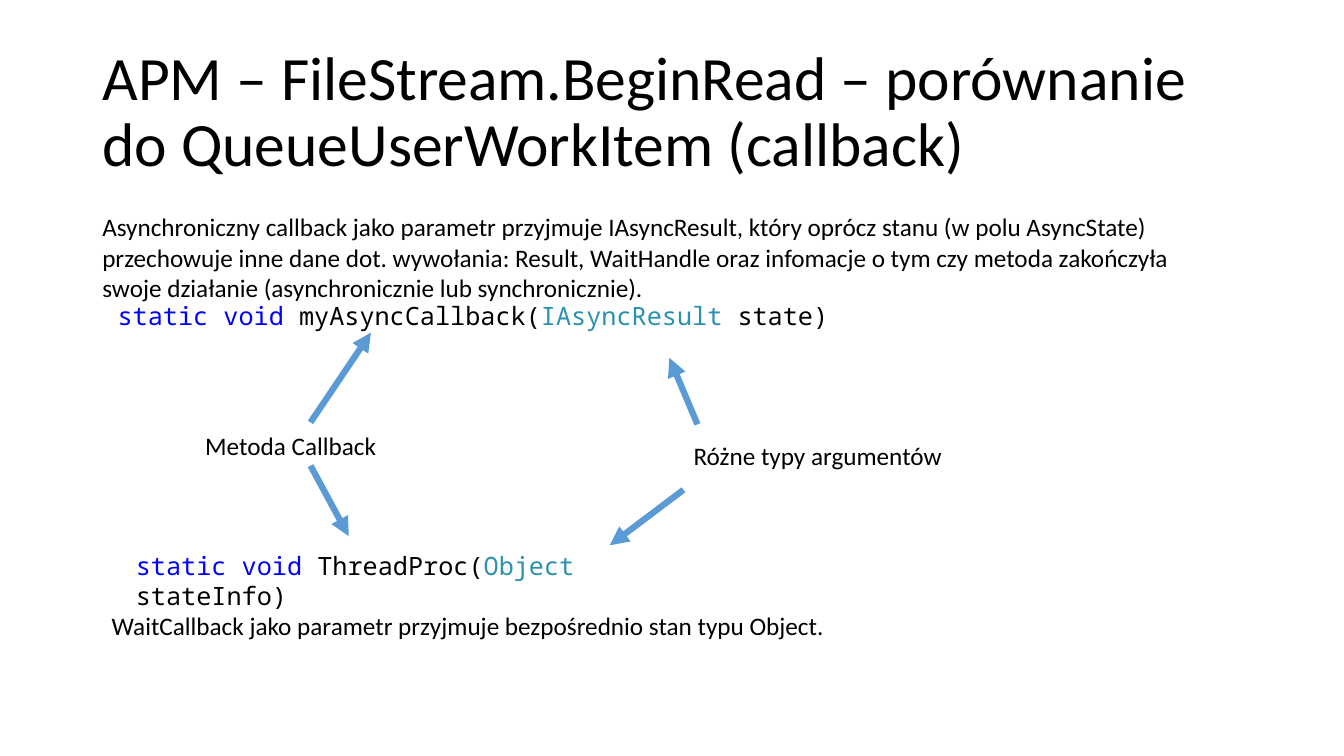
from dataclasses import dataclass

from lxml.etree import SubElement
from pptx import Presentation
from pptx.dml.color import RGBColor
from pptx.enum.shapes import MSO_CONNECTOR as Connector
from pptx.enum.text import MSO_ANCHOR as Anchor, MSO_AUTO_SIZE as AutoSize, PP_ALIGN as Align
from pptx.oxml.ns import qn
from pptx.slide import Slide
from pptx.text.text import TextFrame
from pptx.util import Pt

BLACK = RGBColor(0x00, 0x00, 0x00)
KEYWORD_BLUE = RGBColor(0x00, 0x00, 0xFF)
TYPE_TEAL = RGBColor(0x2B, 0x91, 0xAF)
ARROW_BLUE = RGBColor(0x5B, 0x9B, 0xD5)
TEXT_FONT = "Calibri"
CODE_FONT = "Noto Sans Mono"


@dataclass(frozen=True)
class Token:
    text: str
    color: RGBColor = BLACK


@dataclass(frozen=True)
class Box:
    left: float
    top: float
    width: float
    height: float


@dataclass(frozen=True)
class Label:
    box: Box
    tokens: list[Token]
    font: str = TEXT_FONT
    wrap: bool = False


@dataclass(frozen=True)
class Arrow:
    start: tuple[float, float]
    end: tuple[float, float]


STATIC_VOID = [Token("static", KEYWORD_BLUE), Token(" "), Token("void", KEYWORD_BLUE)]
CALLBACK_CODE = [Token(" "), *STATIC_VOID, Token(" myAsyncCallback("),
                 Token("IAsyncResult", TYPE_TEAL), Token(" state)")]
THREAD_CODE = [*STATIC_VOID, Token(" ThreadProc("),
               Token("Object", TYPE_TEAL), Token(" stateInfo)")]
TITLE = [Token("APM – FileStream.BeginRead – porównanie do QueueUserWorkItem (callback)")]
EXPLANATION = [Token(
    "Asynchroniczny callback jako parametr przyjmuje IAsyncResult, który oprócz stanu "
    "(w polu AsyncState) przechowuje inne dane dot. wywołania: Result, WaitHandle oraz "
    "infomacje o tym czy metoda zakończyła swoje działanie (asynchronicznie lub "
    "synchronicznie).")]
WAIT_CALLBACK = [Token("WaitCallback jako parametr przyjmuje bezpośrednio stan typu Object.")]

TITLE_BOX = Box(66, 28.75, 828, 104.4)
BODY_BOX = Box(66, 213.1, 844.5, 72.7)
LABELS = [
    Label(Box(139.5, 303.8, 138.2, 29.1), [Token("Metoda Callback")]),
    Label(Box(488.3, 311, 193.7, 29.1), [Token("Różne typy argumentów")]),
    Label(Box(66, 147.6, 797, 72.7), EXPLANATION, wrap=True),
    Label(Box(72.7, 432.7, 528.5, 29.1), WAIT_CALLBACK),
    Label(Box(90, 389.5, 413.3, 29.1), THREAD_CODE, font=CODE_FONT, wrap=True),
]
ARROWS = [
    Arrow((498.2, 303.1), (478.1, 255.6)),
    Arrow((221.8, 332.6), (249.1, 383)),
    Arrow((221.8, 301.7), (265, 237.6)),
    Arrow((488.2, 349.9), (435.6, 389.5)),
]


def write_text(frame: TextFrame, tokens: list[Token], *, font: str = TEXT_FONT,
               size: float = 18, wrap: bool = True, anchor: Anchor = Anchor.TOP,
               auto_size: AutoSize = AutoSize.NONE, line_spacing: float = 1.0,
               space_before: float = 0) -> None:
    frame.word_wrap = wrap
    frame.auto_size = auto_size
    frame.vertical_anchor = anchor
    paragraph = frame.paragraphs[0]
    paragraph.alignment = Align.LEFT
    paragraph.line_spacing = line_spacing
    paragraph.space_before = Pt(space_before)
    for token in tokens:
        run = paragraph.add_run()
        run.text = token.text
        run.font.name = font
        run.font.size = Pt(size)
        run.font.color.rgb = token.color


def place(shape, box: Box) -> None:
    shape.left, shape.top = Pt(box.left), Pt(box.top)
    shape.width, shape.height = Pt(box.width), Pt(box.height)


def remove_bullet(frame: TextFrame) -> None:
    properties = frame.paragraphs[0]._p.get_or_add_pPr()
    properties.set("marL", "0")
    properties.set("indent", "0")
    SubElement(properties, qn("a:buNone"))


def add_label(slide: Slide, label: Label) -> None:
    box = label.box
    shape = slide.shapes.add_textbox(Pt(box.left), Pt(box.top), Pt(box.width), Pt(box.height))
    write_text(shape.text_frame, label.tokens, font=label.font, wrap=label.wrap,
               auto_size=AutoSize.SHAPE_TO_FIT_TEXT)


def add_arrow(slide: Slide, arrow: Arrow) -> None:
    points = [Pt(value) for value in (*arrow.start, *arrow.end)]
    connector = slide.shapes.add_connector(Connector.STRAIGHT, *points)
    connector.line.color.rgb = ARROW_BLUE
    connector.line.width = Pt(4.5)
    SubElement(connector.line._get_or_add_ln(), qn("a:tailEnd"), type="triangle")
    SubElement(connector._element.spPr, qn("a:effectLst"))


def main() -> None:
    presentation = Presentation()
    presentation.slide_width, presentation.slide_height = Pt(960), Pt(540)
    slide = presentation.slides.add_slide(presentation.slide_layouts[1])

    title, body = slide.shapes.title, slide.placeholders[1]
    place(title, TITLE_BOX)
    write_text(title.text_frame, TITLE, size=44, anchor=Anchor.MIDDLE, line_spacing=0.9)
    place(body, BODY_BOX)
    write_text(body.text_frame, CALLBACK_CODE, font=CODE_FONT, line_spacing=0.9,
               space_before=10)
    remove_bullet(body.text_frame)

    for arrow in ARROWS:
        add_arrow(slide, arrow)
    for label in LABELS:
        add_label(slide, label)
    presentation.save("out.pptx")


if __name__ == "__main__":
    main()
